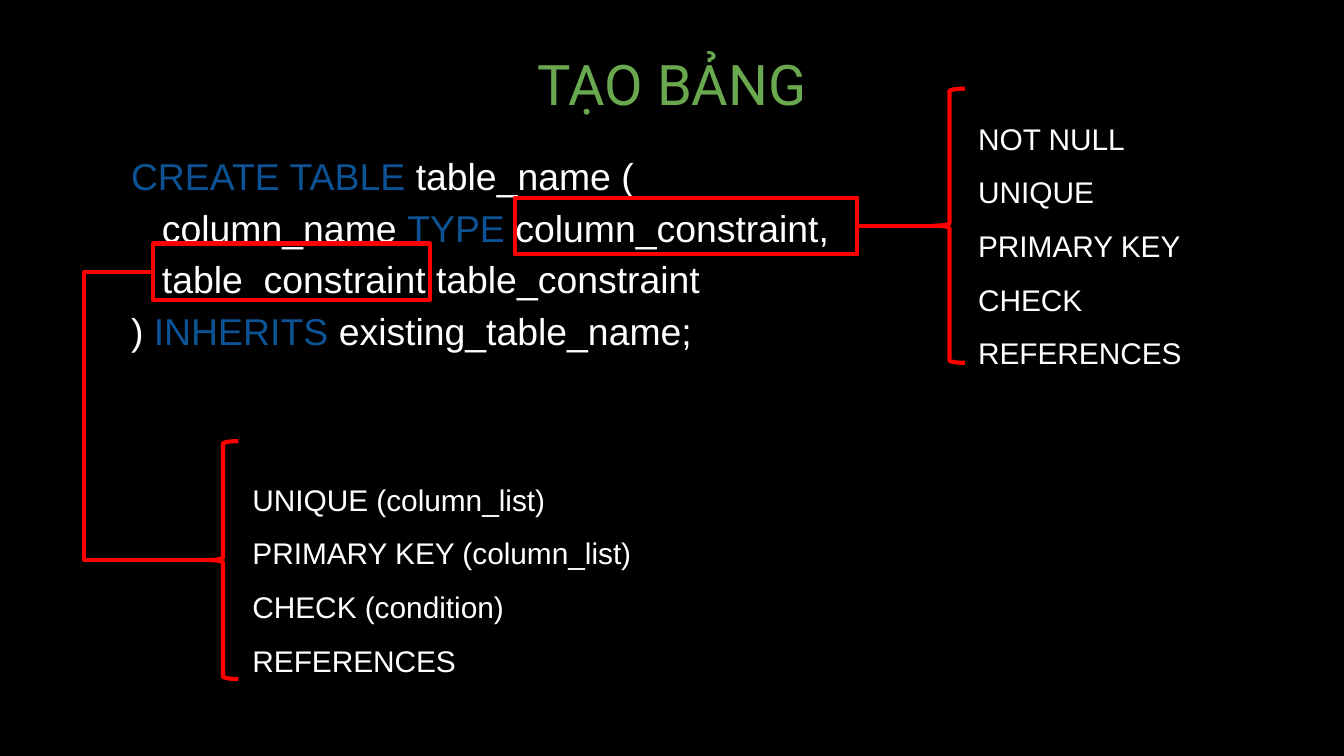
import pptx
import pptx.util
import pptx.dml.color
import pptx.enum.shapes
import pptx.enum.text
import pptx.oxml
import pptx.oxml.ns

BLACK = pptx.dml.color.RGBColor(0x00, 0x00, 0x00)
WHITE = pptx.dml.color.RGBColor(0xFF, 0xFF, 0xFF)
RED = pptx.dml.color.RGBColor(0xFF, 0x00, 0x00)
GREEN = pptx.dml.color.RGBColor(0x6A, 0xA8, 0x4F)
BLUE = pptx.dml.color.RGBColor(0x0B, 0x53, 0x94)

WIDTH = pptx.util.Inches(10)
HEIGHT = WIDTH * 9 // 16
LINE_WIDTH = pptx.util.Pt(2.24)
SHAPES = pptx.enum.shapes.MSO_SHAPE
LINES = pptx.enum.shapes.MSO_CONNECTOR
ALIGN = pptx.enum.text.PP_ALIGN
ANCHOR = pptx.enum.text.MSO_ANCHOR

# Each code line: indent in inches, then its (text, colour) spans.
CODE = [
    (0.06, [("CREATE TABLE", BLUE), (" table_name (", WHITE)]),
    (0.29, [("column_name ", WHITE), ("TYPE", BLUE),
            (" column_constraint,", WHITE)]),
    (0.29, [("table_constraint table_constraint", WHITE)]),
    (0.06, [(") ", WHITE), ("INHERITS", BLUE),
            (" existing_table_name;", WHITE)]),
]
COLUMN_CONSTRAINTS = ["NOT NULL", "UNIQUE", "PRIMARY KEY", "CHECK",
                      "REFERENCES"]
TABLE_CONSTRAINTS = ["UNIQUE (column_list)", "PRIMARY KEY (column_list)",
                     "CHECK (condition)", "REFERENCES"]


def area(left, top, width, height):
    """Turn percentages of the slide into a position and size."""
    return (int(WIDTH * left / 100), int(HEIGHT * top / 100),
            int(WIDTH * width / 100), int(HEIGHT * height / 100))


def move(shape, box):
    """Put a placeholder at the given area."""
    shape.left, shape.top, shape.width, shape.height = box


def prepare_frame(shape, anchor=ANCHOR.TOP):
    """Set wrapping, anchor and equal margins of a text frame."""
    frame = shape.text_frame
    frame.word_wrap = True
    frame.auto_size = pptx.enum.text.MSO_AUTO_SIZE.NONE
    frame.vertical_anchor = anchor
    frame.margin_left = frame.margin_right = pptx.util.Inches(0.1)
    frame.margin_top = frame.margin_bottom = pptx.util.Inches(0.1)
    return frame


def add_span(para, text, size, colour, font="Arial"):
    """Add one formatted run to a paragraph."""
    span = para.add_run()
    span.text = text
    span.font.size = pptx.util.Pt(size)
    span.font.name = font
    span.font.color.rgb = colour


def add_para(frame, index, align, spacing):
    """Return the paragraph at the index, adding it when needed."""
    para = frame.add_paragraph() if index else frame.paragraphs[0]
    para.alignment = align
    para.line_spacing = spacing
    para.space_before = para.space_after = pptx.util.Pt(0)
    return para


def fill_title(page):
    """Write the heading in the title placeholder."""
    title = page.shapes.title
    move(title, area(3.4, 5.1, 93.2, 12.09))
    frame = prepare_frame(title, ANCHOR.BOTTOM)
    para = add_para(frame, 0, ALIGN.CENTER, 1.0)
    add_span(para, "TẠO BẢNG", 30, GREEN, "Roboto")


def fill_code(page):
    """Write the coloured statement in the body placeholder."""
    body = page.placeholders[1]
    move(body, area(8.15, 17.6, 83.6, 41.96))
    frame = prepare_frame(body)
    for index, (indent, spans) in enumerate(CODE):
        para = add_para(frame, index, ALIGN.LEFT, 1.15)
        properties = para._p.get_or_add_pPr()
        properties.set("marL", str(pptx.util.Inches(indent)))
        properties.set("indent", "0")
        properties.append(pptx.oxml.parse_xml(
            "<a:buNone %s/>" % pptx.oxml.ns.nsdecls("a")))
        for text, colour in spans:
            add_span(para, text, 20, colour)


def fill_list(shape, items):
    """Write one constraint on each line."""
    frame = prepare_frame(shape)
    for index, item in enumerate(items):
        para = add_para(frame, index, ALIGN.JUSTIFY, 1.5)
        add_span(para, item, 16, WHITE)


def add_outline(page, kind, box, colour=RED):
    """Add an unfilled outlined shape."""
    shape = page.shapes.add_shape(kind, *box)
    shape.shadow.inherit = False
    shape.fill.background()
    shape.line.color.rgb = colour
    shape.line.width = LINE_WIDTH
    return shape


def add_brace(page, box):
    """Add a left brace with tight corners."""
    brace = add_outline(page, SHAPES.LEFT_BRACE, box)
    brace.adjustments[0] = 0.083
    return brace


def middle(shape):
    """Return the height of a shape's centre line."""
    return shape.top + shape.height // 2


def add_line(page, kind, start, end):
    """Add a red connector between two points."""
    line = page.shapes.add_connector(kind, *start, *end)
    line.line.color.rgb = RED
    line.line.width = LINE_WIDTH
    line._element.spPr.append(pptx.oxml.parse_xml(
        "<a:effectLst %s/>" % pptx.oxml.ns.nsdecls("a")))
    return line


def add_column_branch(page):
    """Link the column constraint to its choices on the right."""
    choices = page.shapes.add_textbox(*area(71.8, 11.76, 22.3, 41.96))
    fill_list(choices, COLUMN_CONSTRAINTS)
    frame = add_outline(page, SHAPES.RECTANGLE, area(38.3, 26.16, 25.5, 7.47))
    brace = add_brace(page, area(69.5, 11.73, 2.3, 36.27))
    height = middle(brace)
    add_line(page, LINES.STRAIGHT, (frame.left + frame.width, height),
             (brace.left + WIDTH * 7 // 1000, height))


def add_table_branch(page):
    """Link the table constraint to its choices below."""
    choices = add_outline(page, SHAPES.RECTANGLE,
                          area(17.8, 59.53, 34.1, 31.29), BLACK)
    fill_list(choices, TABLE_CONSTRAINTS)
    frame = add_outline(page, SHAPES.RECTANGLE, area(11.4, 32.22, 20.6, 7.47))
    brace = add_brace(page, area(15.45, 58.36, 2.3, 31.47))
    line = add_line(page, LINES.ELBOW, (frame.left, middle(frame)),
                    (brace.left, middle(brace)))
    # The bend lies left of both ends, so its share is negative.
    bend = (WIDTH * 6.26 / 100 - frame.left) / (brace.left - frame.left)
    guides = line._element.spPr.prstGeom.get_or_add_avLst()
    guides.append(pptx.oxml.parse_xml(
        '<a:gd %s name="adj1" fmla="val %d"/>'
        % (pptx.oxml.ns.nsdecls("a"), round(bend * 100000))))


def main():
    """Build and save the slide."""
    deck = pptx.Presentation()
    deck.slide_width, deck.slide_height = WIDTH, HEIGHT
    page = deck.slides.add_slide(deck.slide_layouts[1])
    page.background.fill.solid()
    page.background.fill.fore_color.rgb = BLACK
    fill_title(page)
    fill_code(page)
    add_column_branch(page)
    add_table_branch(page)
    deck.save("out.pptx")


main()
